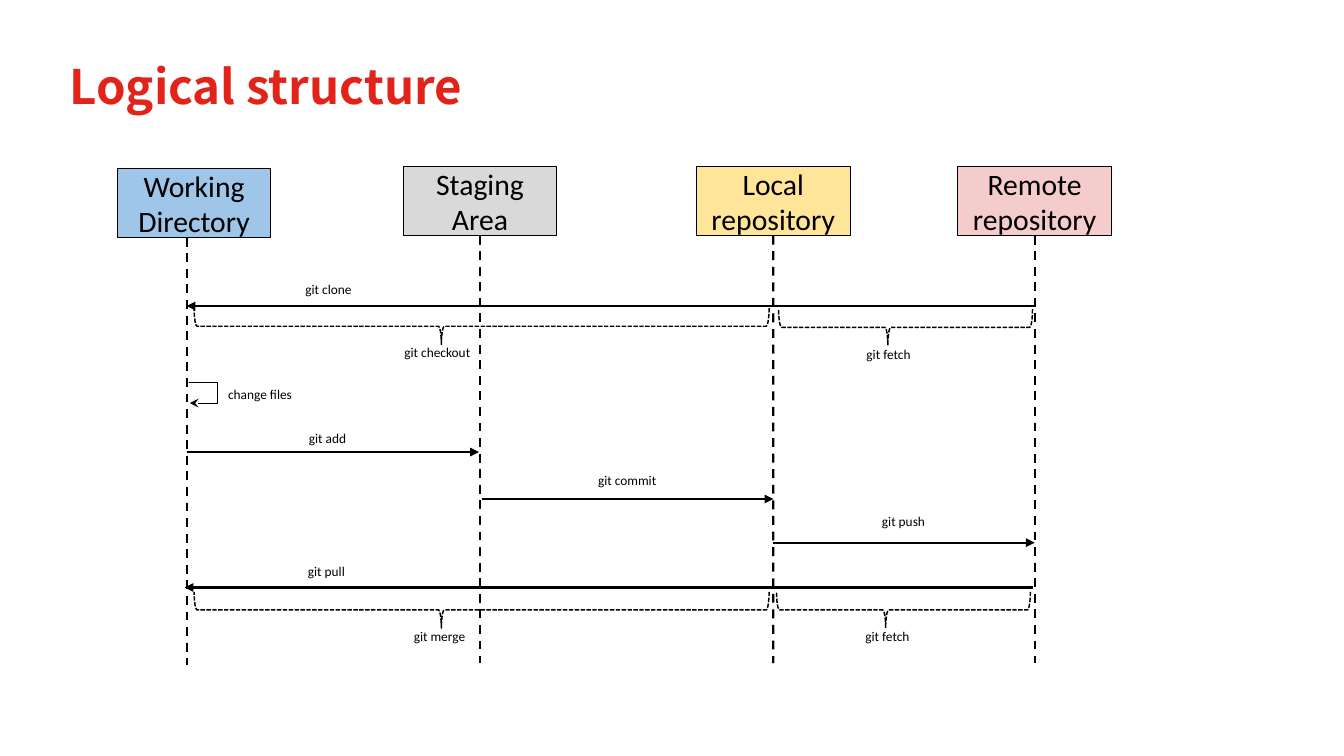
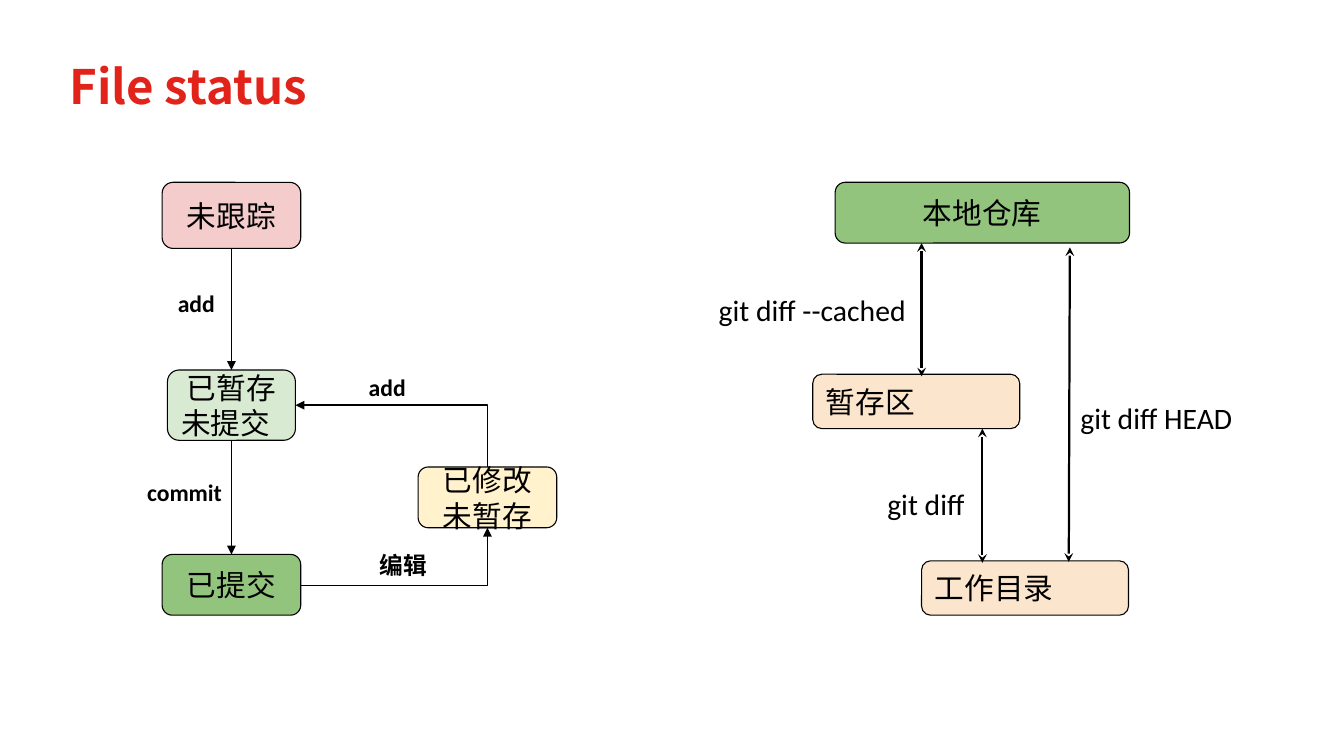
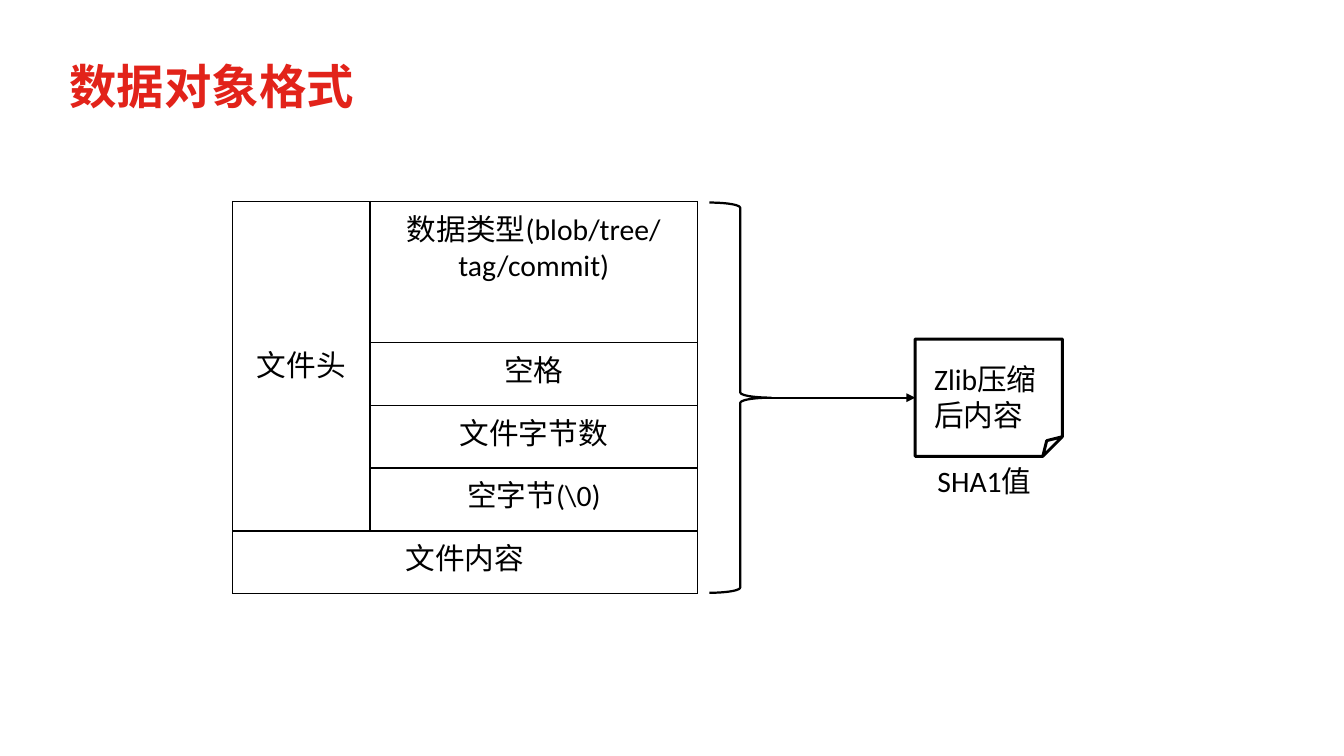
from dataclasses import dataclass

from pptx import Presentation
from pptx.dml.color import RGBColor
from pptx.enum.dml import MSO_LINE_DASH_STYLE as Dash
from pptx.enum.shapes import MSO_CONNECTOR as Connector, MSO_SHAPE as Preset
from pptx.enum.text import MSO_ANCHOR as Anchor, PP_ALIGN as Align
from pptx.oxml.ns import qn
from pptx.oxml.xmlchemy import OxmlElement
from pptx.slide import Slide
from pptx.util import Inches, Pt

RED, BLACK = "E2231A", "000000"
ROSE, BLUE, GREY, YELLOW = "F4CCCC", "9FC5E8", "D9D9D9", "FFE599"
GREEN, MINT, CREAM, PEACH = "93C47D", "D9EAD3", "FFF2CC", "FCE5CD"
TITLE_FONT, BODY_FONT = "Noto Sans CJK SC", "Calibri"
INSET = 0.1


def color(value):
    """Turn a hex string into a colour."""
    return RGBColor.from_string(value)


def set_attributes(target, values):
    """Set each named value on the target."""
    for name, value in values.items():
        setattr(target, name, value)


def add_element(parent, tag, **attributes):
    """Append an XML element with attributes and return it."""
    element = OxmlElement(tag)
    for name, value in attributes.items():
        element.set(name, value)
    parent.append(element)
    return element


def set_margins(target, anchor, inset_y=INSET):
    """Set the insets and vertical anchor of a text frame or a cell."""
    set_attributes(target, {
        "vertical_anchor": anchor,
        "margin_left": Inches(INSET), "margin_right": Inches(INSET),
        "margin_top": Inches(inset_y), "margin_bottom": Inches(inset_y),
    })


def write(frame, text, size=20, bold=False, aligns=(Align.CENTER,), font=BODY_FONT,
          ink=BLACK, anchor=Anchor.MIDDLE, inset_y=INSET):
    """Fill a text frame, one paragraph a line; the last alignment carries on."""
    set_margins(frame, anchor, inset_y)
    frame.word_wrap = True
    frame.text = text
    for index, paragraph in enumerate(frame.paragraphs):
        paragraph.alignment = aligns[min(index, len(aligns) - 1)]
        for run in paragraph.runs:
            set_attributes(run.font, {"name": font, "size": Pt(size), "bold": bold})
            run.font.color.rgb = color(ink)
            add_element(run._r.get_or_add_rPr(), "a:ea", typeface=font)


def style_line(line, weight, dash=None, head=None, tail=None):
    """Give a line its colour, weight, dash and arrowheads."""
    line.color.rgb = color(BLACK)
    set_attributes(line, {"width": Pt(weight), "dash_style": dash})
    for tag, kind in (("a:headEnd", head), ("a:tailEnd", tail)):
        if kind:
            add_element(line._get_or_add_ln(), tag, type=kind)


def style_shape(shape, fill=None, weight=0.75, **line_format):
    """Give a shape its fill and outline, without a shadow."""
    shape.shadow.inherit = False
    if fill:
        shape.fill.solid()
        shape.fill.fore_color.rgb = color(fill)
    else:
        shape.fill.background()
    style_line(shape.line, weight, **line_format)


@dataclass
class Region:
    """A part of a slide whose contents are placed from its top left corner."""
    slide: Slide
    left: float
    top: float

    def at(self, x, y):
        """Turn a point in the region into slide lengths."""
        return Inches(self.left + x), Inches(self.top + y)

    def shape(self, preset, x, y, width, height, **style):
        """Add a preset shape."""
        shape = self.slide.shapes.add_shape(
            preset, *self.at(x, y), Inches(width), Inches(height))
        style_shape(shape, **style)
        return shape

    def box(self, preset, x, y, width, height, text, fill, **text_format):
        """Add a filled shape with text."""
        shape = self.shape(preset, x, y, width, height, fill=fill)
        write(shape.text_frame, text, **text_format)
        return shape

    def label(self, text, x, y, width, height, **text_format):
        """Add a text box."""
        box = self.slide.shapes.add_textbox(
            *self.at(x, y), Inches(width), Inches(height))
        write(box.text_frame, text, **text_format)

    def line(self, start, end, weight, kind=Connector.STRAIGHT, **line_format):
        """Add a connector between two points."""
        connector = self.slide.shapes.add_connector(
            kind, *self.at(*start), *self.at(*end))
        style_line(connector.line, weight, **line_format)
        add_element(connector._element.spPr, "a:effectLst")
        return connector

    def elbow(self, start, end, upright=False):
        """Add an arrow with one corner, leaving upright or level."""
        if upright:
            middle_x, middle_y = ((a + b) / 2 for a, b in zip(start, end))
            start, end = ((middle_x - (y - middle_y), middle_y + (x - middle_x))
                          for x, y in (start, end))
        connector = self.line(start, end, 1, Connector.ELBOW, tail="triangle")
        properties = connector._element.spPr
        properties.find(qn("a:prstGeom")).set("prst", "bentConnector2")
        if upright:
            properties.find(qn("a:xfrm")).set("rot", "16200000")

    def brace_below(self, x, y, span, depth=0.34):
        """Add a dashed brace that points down."""
        brace = self.shape(
            Preset.LEFT_BRACE, x + (span - depth) / 2, y - (span - depth) / 2,
            depth, span, weight=1, dash=Dash.SQUARE_DOT)
        brace.rotation = 270
        brace.adjustments[1] = 0.43


def sequence_diagram(region):
    """Draw four lifelines and the commands that pass between them."""
    width, height, length = 1.44, 0.65, 4.01
    actors = (
        (0, 0.02, "Working\nDirectory", BLUE), (2.68, 0, "Staging\nArea", GREY),
        (5.43, 0, "Local\nrepository", YELLOW), (7.88, 0, "Remote\nrepository", ROSE),
    )
    for x, y, text, fill in actors:
        box = region.box(Preset.RECTANGLE, x, y, width, height, text, fill)
        foot = y + height
        line_x = x + width / 2 if x else 0.65
        lifeline = region.line((line_x, foot), (line_x, foot + length), 1.5, dash=Dash.DASH)
        if x:
            lifeline.begin_connect(box, 2)

    messages = (
        ("git clone", 8.6, 0.65, 1.31, 1.26, 1.06),
        ("git add", 0.65, 3.39, 2.68, 1.25, 2.46),
        ("git commit", 3.42, 6.15, 3.12, 4.06, 2.85),
        ("git push", 6.15, 8.6, 3.53, 6.65, 3.24),
        ("git pull", 8.58, 0.63, 3.95, 1.24, 3.71),
    )
    for text, start, end, y, label_x, label_y in messages:
        region.line((start, y), (end, y), 1.5, tail="triangle")
        region.label(text, label_x, label_y, width, 0.18, size=9)

    steps = (
        ("git checkout", 0.72, 1.33, 5.39, 2.28, 1.65),
        ("git fetch", 6.2, 1.34, 2.38, 6.51, 1.67),
        ("git merge", 0.72, 3.99, 5.39, 2.3, 4.32),
        ("git fetch", 6.18, 3.99, 2.38, 6.5, 4.32),
    )
    for text, x, y, span, label_x, label_y in steps:
        region.brace_below(x, y, span)
        region.label(text, label_x, label_y, width, 0.18, size=9)

    builder = region.slide.shapes.build_freeform(*region.at(0.67, 2.03), scale=1.0)
    corners = ((0.94, 2.03), (0.94, 2.22), (0.68, 2.22))
    builder.add_line_segments([region.at(*corner) for corner in corners], close=False)
    style_shape(builder.convert_to_shape(), tail="stealth")
    region.label("change files", 0.94, 2.11, 0.9, 0.05, size=9, aligns=(Align.LEFT,))


def status_cycle(region):
    """Draw the states of a file and the steps between them."""
    states = (
        (0.25, 0, 1.3, 0.62, "未跟踪", ROSE, (Align.CENTER,)),
        (0.3, 1.76, 1.2, 0.66, "已暂存\n未提交", MINT, (Align.CENTER, Align.LEFT)),
        (0.25, 3.49, 1.3, 0.57, "已提交", GREEN, (Align.CENTER,)),
        (2.65, 2.67, 1.3, 0.57, "已修改未暂存", CREAM, (Align.CENTER,)),
    )
    boxes = [region.box(Preset.ROUNDED_RECTANGLE, *state, aligns=aligns)
             for *state, aligns in states]
    for upper, lower in zip(boxes[:2], boxes[1:3]):
        arrow = region.line((0.9, 0), (0.9, 1), 1, tail="triangle")
        arrow.begin_connect(upper, 2)
        arrow.end_connect(lower, 0)
    region.elbow((1.55, 3.78), (3.3, 3.24))
    region.elbow((3.3, 2.67), (1.5, 2.09), upright=True)
    for text, x, y, width in (("add", 0.18, 0.9, 0.78), ("commit", 0, 2.67, 0.92),
                              ("编辑", 2.12, 3.36, 0.78), ("add", 1.97, 1.69, 0.78)):
        region.label(text, x, y, width, 0.3, size=16, bold=True, anchor=Anchor.TOP)


def diff_map(region):
    """Draw which areas each diff command compares."""
    areas = (
        (1.19, 0, 2.76, 0.57, "本地仓库", GREEN, Align.CENTER),
        (2, 3.55, 1.94, 0.51, "工作目录", PEACH, Align.LEFT),
        (0.98, 1.8, 1.94, 0.51, "暂存区", PEACH, Align.LEFT),
    )
    for *area, align in areas:
        region.box(Preset.ROUNDED_RECTANGLE, *area, aligns=(align,))
    commands = (
        ("git diff --cached", (2, 0.57), (2, 1.82), 0, 0.93, 2.57),
        ("git diff HEAD", (3.39, 0.61), (3.38, 3.56), 3.39, 1.94, 1.71),
        ("git diff", (2.57, 2.31), (2.57, 3.57), 1.58, 2.75, 0.99),
    )
    for text, start, end, x, y, width in commands:
        region.line(start, end, 1.5, head="stealth", tail="stealth")
        region.label(text, x, y, width, 0.27, aligns=(Align.LEFT,), anchor=Anchor.TOP)


def border_cell(cell):
    """Give a cell no fill and a thin black border."""
    properties = cell._tc.get_or_add_tcPr()
    for side in ("a:lnL", "a:lnR", "a:lnT", "a:lnB"):
        fill = add_element(add_element(properties, side, w=str(Pt(1))), "a:solidFill")
        add_element(fill, "a:srgbClr", val=BLACK)
    cell.fill.background()


def format_table(region):
    """Draw the table of the parts of a data object."""
    widths, heights = (1.29, 3.07), (1.32,) + (0.59,) * 4
    table = region.slide.shapes.add_table(
        len(heights), len(widths), *region.at(0, 0),
        Inches(sum(widths)), Inches(sum(heights))).table
    set_attributes(table, {"first_row": False, "horz_banding": False})
    for column, width in zip(table.columns, widths):
        column.width = Inches(width)
    for row, height in zip(table.rows, heights):
        row.height = Inches(height)
    for cell in table.iter_cells():
        border_cell(cell)
    table.cell(0, 0).merge(table.cell(3, 0))
    table.cell(4, 0).merge(table.cell(4, 1))
    parts = (
        (0, 0, "文件头", Anchor.MIDDLE),
        (0, 1, "数据类型(blob/tree/tag/commit)", Anchor.TOP),
        (1, 1, "空格", Anchor.TOP),
        (2, 1, "文件字节数", Anchor.TOP),
        (3, 1, "空字节(\\0)", Anchor.TOP),
        (4, 0, "文件内容", Anchor.TOP),
    )
    for row, column, text, anchor in parts:
        cell = table.cell(row, column)
        write(cell.text_frame, text, anchor=anchor)
        set_margins(cell, anchor)


def compressed_file(region):
    """Draw the brace and the compressed file it leads to."""
    brace = region.shape(Preset.RIGHT_BRACE, 0, 0, 0.58, 3.66, weight=1.5)
    brace.adjustments[1] = 0.5
    page = region.shape(Preset.FOLDED_CORNER, 1.93, 1.28, 1.38, 1.1, weight=2)
    for text, x, y, width, height in (("SHA1值", 2.04, 2.39, 1.17, 0.44),
                                      ("Zlib压缩\n后内容", 2.01, 1.44, 1.23, 0.77)):
        region.label(text, x, y, width, height, aligns=(Align.LEFT,),
                     anchor=Anchor.TOP, inset_y=0.05)
    arrow = region.line((0.58, 1.83), (1.93, 1.83), 1.25, tail="triangle")
    arrow.end_connect(page, 1)


def titled_slide(presentation, text):
    """Add a slide with the shared title style."""
    slide = presentation.slides.add_slide(presentation.slide_layouts[5])
    title = slide.shapes.title
    set_attributes(title, {"left": Inches(0.55), "top": Inches(0.55),
                           "width": Inches(6.69), "height": Inches(0.71)})
    write(title.text_frame, text, size=32, bold=True, aligns=(Align.LEFT,),
          font=TITLE_FONT, ink=RED, anchor=Anchor.TOP, inset_y=0.05)
    title.text_frame.paragraphs[0].line_spacing = 0.9
    return slide


def main():
    """Build the three slides and save them."""
    presentation = Presentation()
    set_attributes(presentation, {"slide_width": Inches(12.6), "slide_height": Inches(7.09)})
    contents = (
        ("Logical structure", ((sequence_diagram, 1.1, 1.56),)),
        ("File status", ((status_cycle, 1.27, 1.71), (diff_map, 6.64, 1.71))),
        ("数据对象格式", ((format_table, 2.18, 1.89), (compressed_file, 6.65, 1.9))),
    )
    for title, regions in contents:
        slide = titled_slide(presentation, title)
        for draw, left, top in regions:
            draw(Region(slide, left, top))
    presentation.save("out.pptx")


if __name__ == "__main__":
    main()
